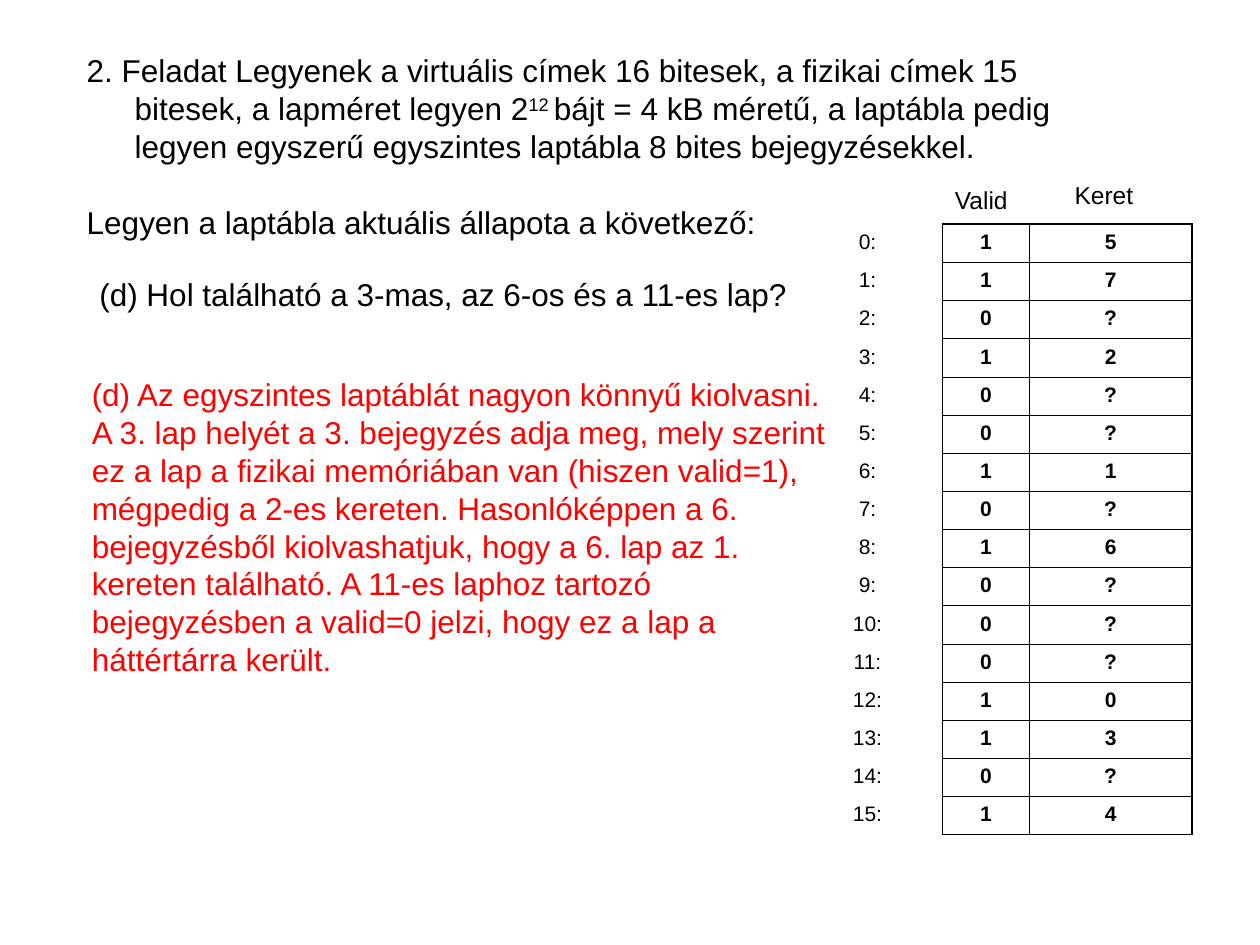
from lxml import etree
from pptx import Presentation
from pptx.dml.color import RGBColor
from pptx.enum import text
from pptx.oxml import ns
from pptx.util import Inches, Pt

COLORS = {"ink": "000000", "answer": "FF0000"}
THICK, THIN = 1.08, 0.45


class Sheet:
    def __init__(self, slide, font):
        self.slide = slide
        self.font = font

    def style(self, par, size, color="ink", bold=False):
        for run in par.runs:
            run.font.name = self.font
            run.font.size = Pt(size)
            run.font.bold = bold
            run.font.color.rgb = RGBColor.from_string(COLORS[color])

    def box(self, words, left, top, width, height, size=18, color="ink"):
        shape = self.slide.shapes.add_textbox(
            Inches(left), Inches(top), Inches(width), Inches(height))
        frame = shape.text_frame
        frame.word_wrap = True
        frame.auto_size = text.MSO_AUTO_SIZE.SHAPE_TO_FIT_TEXT
        frame.text = words
        for par in frame.paragraphs:
            self.style(par, size, color)
        return frame

    def task(self, parts, prompt, *place):
        frame = self.box("\n" + prompt, *place)
        first, last = frame.paragraphs
        for part in parts:
            first.add_run().text = part
        self.style(first, 18)
        first.runs[1]._r.get_or_add_rPr().set("baseline", "30000")
        last.space_before = Pt(21.6)
        for par in frame.paragraphs:
            props = par._p.get_or_add_pPr()
            props.set("marL", str(Inches(0.38)))
            props.set("indent", str(-Inches(0.38)))

    def edge(self, cell, side, width):
        line = etree.SubElement(cell._tc.get_or_add_tcPr(), ns.qn("a:ln" + side))
        line.set("w", str(Pt(width)))
        fill = etree.SubElement(line, ns.qn("a:solidFill"))
        etree.SubElement(fill, ns.qn("a:srgbClr")).set("val", COLORS["ink"])

    def grid(self, rows, widths, left, top, height, bold=False, lined=False):
        table = self.slide.shapes.add_table(
            len(rows), len(widths), Inches(left), Inches(top),
            Inches(sum(widths)), Inches(height)).table
        table.first_row = table.horz_banding = False
        for col, width in zip(table.columns, widths):
            col.width = Inches(width)
        for i, row in enumerate(rows):
            for j, value in enumerate(row):
                cell = table.cell(i, j)
                if lined:
                    outer = {"L": j == 0, "R": j == len(row) - 1,
                             "T": i == 0, "B": i == len(rows) - 1}
                    for side, thick in outer.items():
                        self.edge(cell, side, THICK if thick else THIN)
                cell.fill.background()
                cell.text = value
                par = cell.text_frame.paragraphs[0]
                par.alignment = text.PP_ALIGN.CENTER
                par.space_before = Pt(3)
                self.style(par, 12, bold=bold)


def main():
    deck = Presentation()
    deck.slide_width, deck.slide_height = Inches(10), Inches(7.5)
    sheet = Sheet(deck.slides.add_slide(deck.slide_layouts[6]), "Arial")

    sheet.task(
        ["2. Feladat Legyenek a virtuális címek 16 bitesek, a fizikai címek 15 "
         "bitesek, a lapméret legyen 2",
         "12 ",
         "bájt = 4 kB méretű, a laptábla pedig legyen egyszerű egyszintes "
         "laptábla 8 bites bejegyzésekkel."],
        "Legyen a laptábla aktuális állapota a következő:",
        0.59, 0.36, 7.9, 1.6)

    valid = "1101001010001101"
    frames = "57?2??1?6???03?4"
    top, height = 1.78, 4.85
    sheet.grid(list(zip(valid, frames)), [0.69, 1.29], 7.48, top, height,
               bold=True, lined=True)
    sheet.grid([[f"{i}:"] for i in range(len(valid))], [0.69], 6.54, top, height)

    sheet.box("(d) Hol található a 3-mas, az 6-os és a 11-es lap?",
              0.69, 2.13, 5.76, 0.4)
    for head, left, level in [("Valid", 7.48, 1.42), ("Keret", 8.43, 1.38)]:
        sheet.box(head, left, level, 0.75, 0.34, size=14)
    sheet.box(
        "(d) Az egyszintes laptáblát nagyon könnyű kiolvasni. A 3. lap helyét "
        "a 3. bejegyzés adja meg, mely szerint ez a lap a fizikai memóriában "
        "van (hiszen valid=1), mégpedig a 2-es kereten. Hasonlóképpen a 6. "
        "bejegyzésből kiolvashatjuk, hogy a 6. lap az 1. kereten található. "
        "A 11-es laphoz tartozó bejegyzésben a valid=0 jelzi, hogy ez a lap "
        "a háttértárra került.",
        0.63, 2.93, 6.12, 2.5, color="answer")

    deck.save("out.pptx")


if __name__ == "__main__":
    main()
